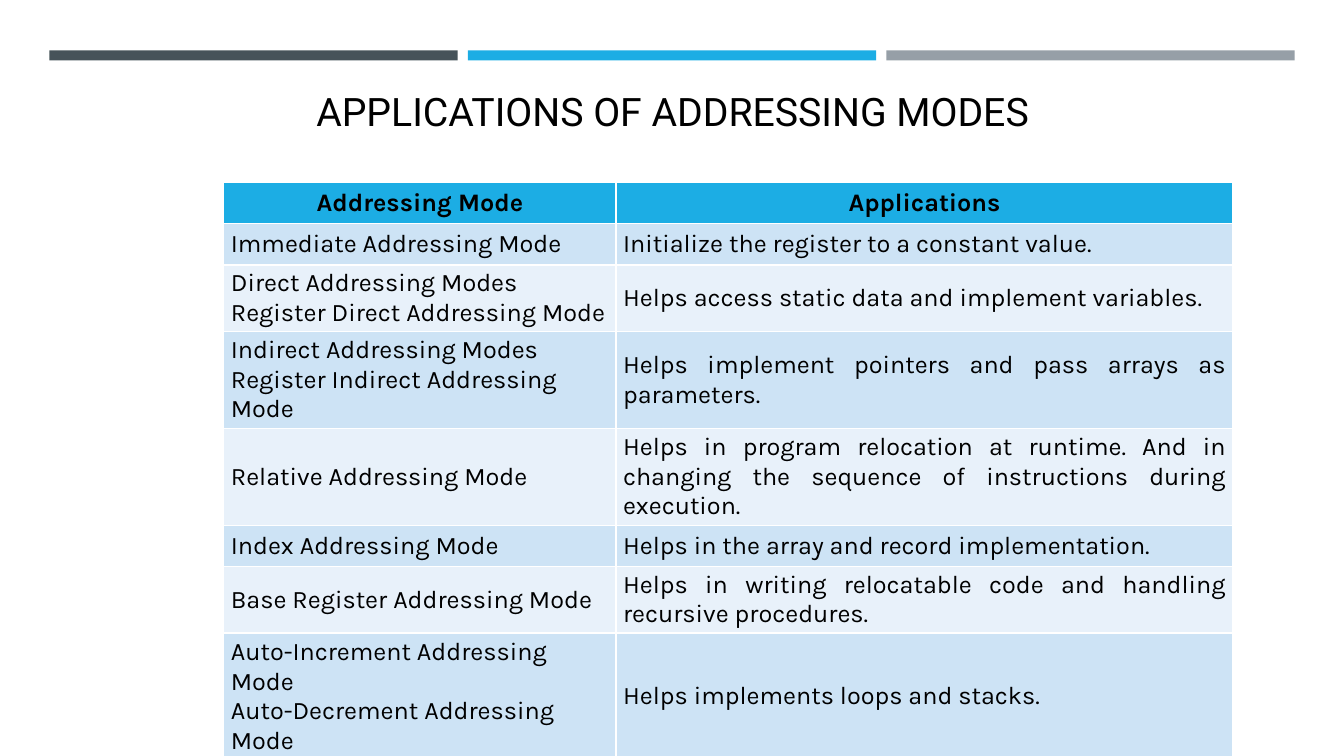
from pptx import Presentation
from pptx.dml.color import RGBColor
from pptx.enum import shapes, text
from pptx.util import Inches, Pt

BLACK = RGBColor(0x00, 0x00, 0x00)
SLATE = RGBColor(0x46, 0x53, 0x59)
BLUE = RGBColor(0x1C, 0xAD, 0xE4)
GRAY = RGBColor(0x96, 0x9F, 0xA7)
PALE = RGBColor(0xCD, 0xE3, 0xF5)
LIGHT = RGBColor(0xE8, 0xF1, 0xFA)

ROWS = [
    ("Addressing Mode", "Applications"),
    ("Immediate Addressing Mode",
     "Initialize the register to a constant value."),
    ("Direct Addressing Modes\nRegister Direct Addressing Mode",
     "Helps access static data and implement variables."),
    ("Indirect Addressing Modes\nRegister Indirect Addressing Mode",
     "Helps implement pointers and pass arrays as parameters."),
    ("Relative Addressing Mode",
     "Helps in program relocation at runtime. And in changing "
     "the sequence of instructions during execution."),
    ("Index Addressing Mode",
     "Helps in the array and record implementation."),
    ("Base Register Addressing Mode",
     "Helps in writing relocatable code and handling recursive procedures."),
    ("Auto-Increment Addressing Mode\nAuto-Decrement Addressing Mode",
     "Helps implements loops and stacks."),
]


def style(par, font, size, align, bold=False):
    par.alignment = align
    for run in par.runs:
        run.font.name = font
        run.font.size = Pt(size)
        run.font.bold = bold
        run.font.color.rgb = BLACK


deck = Presentation()
deck.slide_width = Inches(13.33)
deck.slide_height = Inches(7.5)
slide = deck.slides.add_slide(deck.slide_layouts[6])

# Bars across the top
for i, color in enumerate((SLATE, BLUE, GRAY)):
    bar = slide.shapes.add_shape(
        shapes.MSO_SHAPE.RECTANGLE,
        Inches(0.49 + 4.15 * i), Inches(0.5), Inches(4.05), Inches(0.1))
    bar.fill.solid()
    bar.fill.fore_color.rgb = color
    bar.line.fill.background()
    bar.shadow.inherit = False

# Title
title = slide.shapes.add_textbox(
    Inches(0.64), Inches(0.8), Inches(12.06), Inches(0.58))
frame = title.text_frame
frame.word_wrap = True
frame.vertical_anchor = text.MSO_ANCHOR.BOTTOM
frame.text = "APPLICATIONS OF ADDRESSING MODES"
style(frame.paragraphs[0], "Roboto", 28, text.PP_ALIGN.CENTER)

# Table: the default style draws the white rules
high = Inches(0.41)
table = slide.shapes.add_table(
    len(ROWS), 2, Inches(2.22), Inches(1.81),
    Inches(10.01), high * len(ROWS)).table
table.columns[0].width = Inches(3.89)
table.columns[1].width = Inches(6.12)

for r, row in enumerate(ROWS):
    table.rows[r].height = high
    head = r == 0
    for c, words in enumerate(row):
        cell = table.cell(r, c)
        cell.text = words
        cell.vertical_anchor = text.MSO_ANCHOR.MIDDLE
        cell.fill.solid()
        if head:
            cell.fill.fore_color.rgb = BLUE
            align = text.PP_ALIGN.CENTER
        else:
            cell.fill.fore_color.rgb = PALE if r % 2 else LIGHT
            cell.margin_left = cell.margin_right = Inches(0.07)
            cell.margin_top = cell.margin_bottom = Inches(0.03)
            align = text.PP_ALIGN.JUSTIFY if c else text.PP_ALIGN.LEFT
        for par in cell.text_frame.paragraphs:
            style(par, "Karla", 18, align, head)

deck.save("out.pptx")
